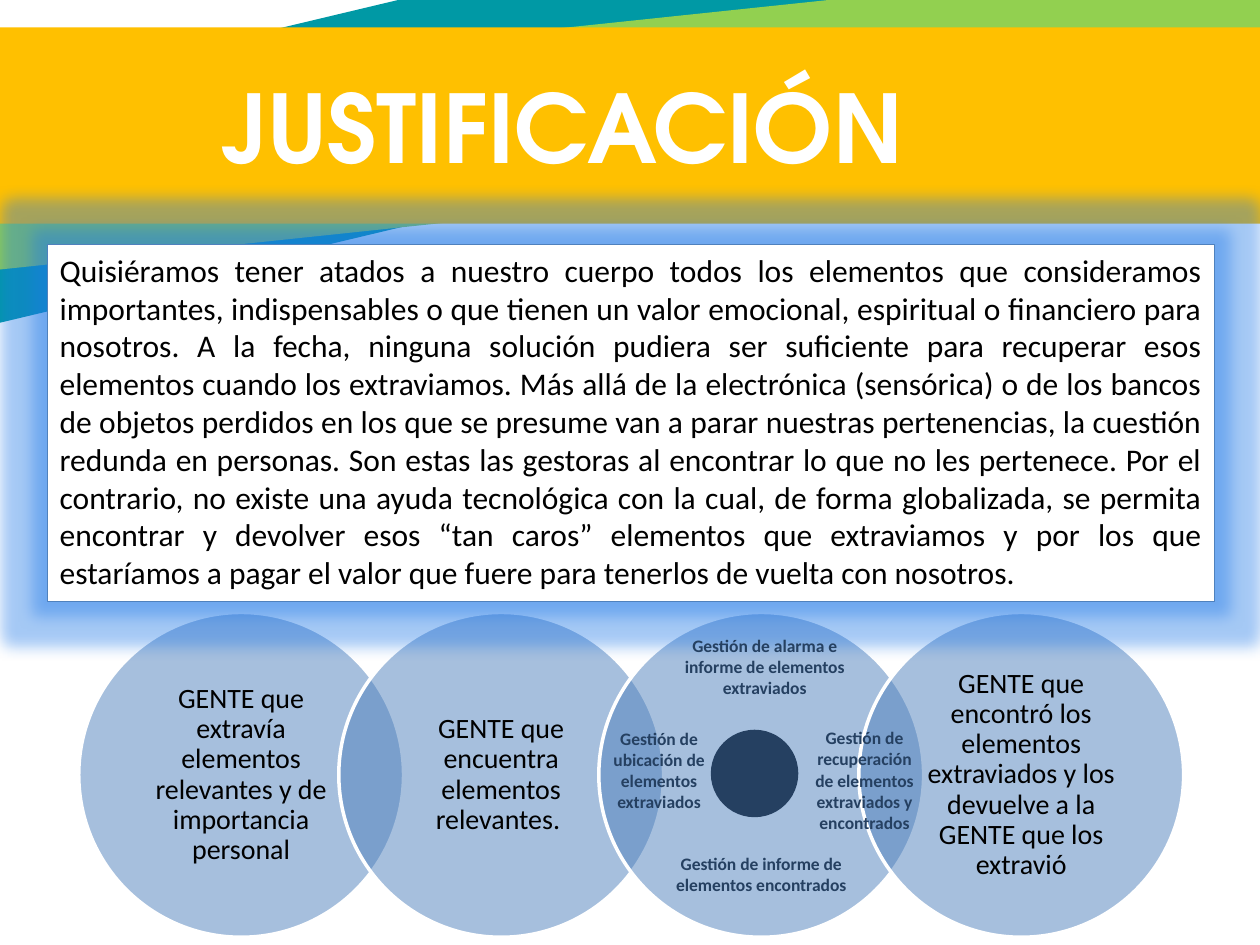
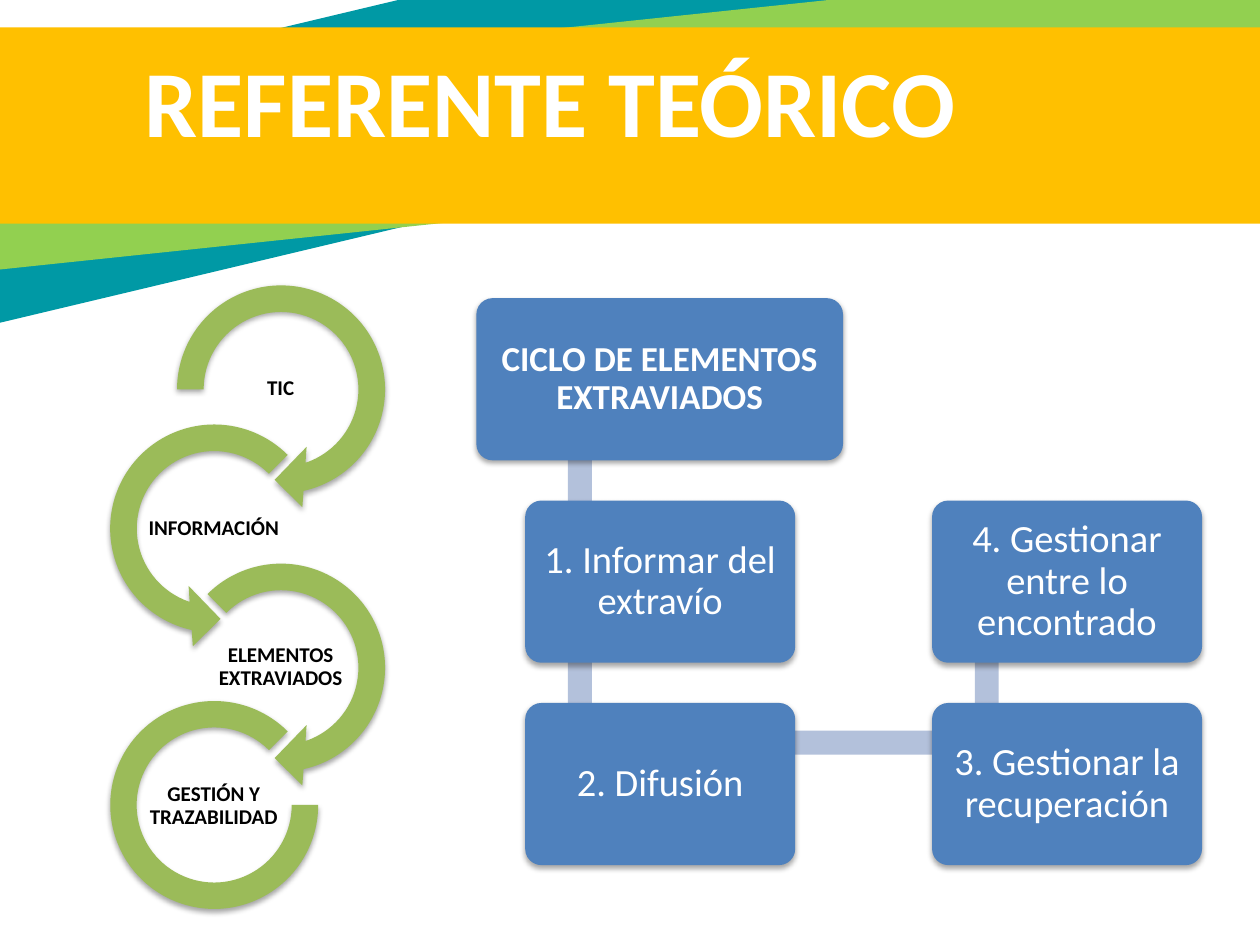
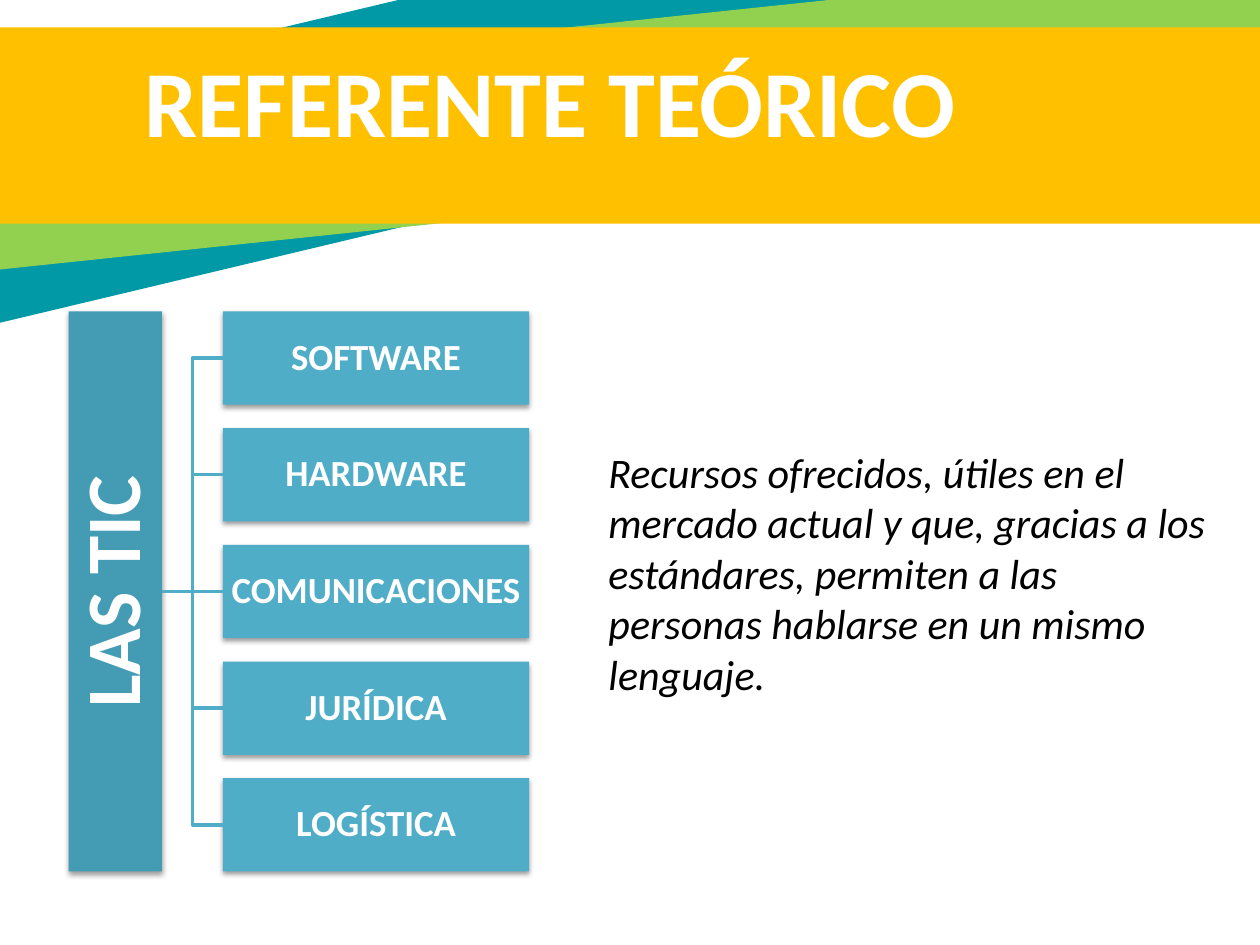
from collections import namedtuple
from dataclasses import dataclass

from lxml import etree
from pptx import Presentation
from pptx.dml.color import RGBColor
from pptx.enum.shapes import MSO_CONNECTOR, MSO_SHAPE
from pptx.enum.text import MSO_ANCHOR, PP_ALIGN
from pptx.oxml.ns import qn
from pptx.util import Pt

RECT = MSO_SHAPE.RECTANGLE
ROUND = MSO_SHAPE.ROUNDED_RECTANGLE
OVAL = MSO_SHAPE.OVAL
RIGHT_ARROW = MSO_SHAPE.CIRCULAR_ARROW
LEFT_ARROW = MSO_SHAPE.LEFT_CIRCULAR_ARROW
ARC = MSO_SHAPE.BLOCK_ARC
STRAIGHT = MSO_CONNECTOR.STRAIGHT
ELBOW = MSO_CONNECTOR.ELBOW
MIDDLE = MSO_ANCHOR.MIDDLE
TOP = MSO_ANCHOR.TOP
LEFT = PP_ALIGN.LEFT
CENTER = PP_ALIGN.CENTER
JUSTIFY = PP_ALIGN.JUSTIFY

Box = namedtuple("Box", "x y w h")


@dataclass(frozen=True)
class Theme:
    font: str = "Calibri"
    display: str = "TeX Gyre Adventor"
    white: str = "FFFFFF"
    black: str = "000000"
    teal: str = "0099A5"
    lime: str = "92D050"
    amber: str = "FFC000"
    blue: str = "4F81BD"
    navy: str = "254061"
    glow: str = "1F78E8"
    olive: str = "9BBB59"
    link: str = "B3C1DB"
    aqua: str = "50ADC7"
    deep_aqua: str = "449CB4"
    title: int = 54
    spine: int = 44
    quote: int = 24
    step: int = 22
    branch: int = 21
    head: int = 20
    body: int = 18
    circle: int = 16
    arc: int = 12
    caption: int = 10


T = Theme()


def rgb(value):
    return RGBColor.from_string(value)


def add_color(parent, value, alpha):
    clr = etree.SubElement(parent, qn("a:srgbClr"), val=value)
    etree.SubElement(clr, qn("a:alpha"), val=str(alpha * 1000))


def add_text(s, text, size=T.body, color=T.black, font=T.font, bold=False, italic=False,
             align=CENTER, anchor=MIDDLE, spacing=None, ins=(7.2, 3.6, 7.2, 3.6)):
    tf = s.text_frame
    tf.word_wrap = True
    tf.vertical_anchor = anchor
    tf.margin_left, tf.margin_top, tf.margin_right, tf.margin_bottom = map(Pt, ins)
    p = tf.paragraphs[0]
    p.alignment = align
    if spacing:
        p.line_spacing = spacing
    r = p.add_run()
    r.text = text
    r.font.size = Pt(size)
    r.font.name = font
    r.font.bold = bold
    r.font.italic = italic
    r.font.color.rgb = rgb(color)


def add_label(slide, box, text, **fmt):
    add_text(slide.shapes.add_textbox(*map(Pt, box)), text, **fmt)


def add_box(slide, kind, box, fill, line=None, width=1, alpha=None, shadow=None, adj=(), rotation=0):
    s = slide.shapes.add_shape(kind, *map(Pt, box))
    s.rotation = rotation
    for i, value in enumerate(adj):
        s.adjustments[i] = value
    s.fill.solid()
    s.fill.fore_color.rgb = rgb(fill)
    if alpha:
        clr = s._element.spPr.find(qn("a:solidFill"))[0]
        etree.SubElement(clr, qn("a:alpha"), val=str(alpha * 1000))
    if line:
        s.line.color.rgb = rgb(line)
        s.line.width = Pt(width)
    else:
        s.line.fill.background()
    s.shadow.inherit = False
    if shadow:
        effects = s._element.spPr.find(qn("a:effectLst"))
        sh = etree.SubElement(effects, qn("a:outerShdw"), blurRad=str(Pt(3.1)), dist=str(Pt(1.7)),
                              dir="5400000", rotWithShape="0")
        add_color(sh, T.black, shadow)
    return s


def add_glow(s, radius):
    effects = s._element.spPr.find(qn("a:effectLst"))
    add_color(etree.SubElement(effects, qn("a:glow"), rad=str(Pt(radius))), T.glow, 40)


def join(slide, start, end, kind):
    c = slide.shapes.add_connector(kind, 0, 0, 0, 0)
    c.begin_connect(start, 3)
    c.end_connect(end, 1)
    c.line.color.rgb = rgb(T.aqua)
    c.line.width = Pt(2)
    etree.SubElement(c._element.spPr, qn("a:effectLst"))


def add_header(slide, box, title, **fmt):
    add_box(slide, RECT, Box(-180.7, -13, 940.3, 126.7), T.teal, rotation=346.6)
    add_box(slide, RECT, Box(-79.2, 14.4, 837.4, 103.7), T.lime, rotation=354)
    add_box(slide, RECT, Box(-76.3, 15.7, 837.4, 112.1), T.amber)
    add_label(slide, box, title, size=T.title, color=T.white, bold=True, **fmt)


def add_theory_header(slide):
    add_header(slide, Box(-75, 18, 779, 107.3), "REFERENTE TEÓRICO", ins=(7.2, 3.6, 7.2, 32.4))


def add_people_circles(slide, box, texts):
    pitch = (box.w - box.h) / (len(texts) - 1)
    for i, text in enumerate(texts):
        s = add_box(slide, OVAL, Box(box.x + i * pitch, box.y, box.h, box.h), T.blue,
                    line=T.white, width=2, alpha=50)
        if text:
            add_text(s, text, size=T.circle, spacing=0.9, ins=(10, 1.6, 10, 1.6))
    return pitch


def add_management_hub(slide, x, y, captions):
    add_box(slide, OVAL, Box(x + 64, y + 67, 50, 50), T.navy)
    for text, (dx, dy, w, h) in captions:
        add_label(slide, Box(x + dx, y + dy, w, h), text, size=T.caption, color=T.navy, bold=True)


def add_arc_chain(slide, box, labels):
    size, pitch, shift = 138.2, 79.5, 38.2
    arrow = (0.11, 11.42)
    arcs = [
        (RIGHT_ARROW, (*arrow, 45, 108, 0.125), 0),
        (LEFT_ARROW, (*arrow, 63, 189, 0.125), 0),
        (RIGHT_ARROW, (*arrow, 45, 135, 0.125), 0),
        (ARC, (0, 189, 0.127), 9.7),
    ]
    for i, (label, (kind, adj, inset)) in enumerate(zip(labels, arcs)):
        x = box.x + (shift if i % 2 == 0 else 0)
        y = box.y + i * pitch
        side = size - 2 * inset
        add_box(slide, kind, Box(x + inset, y + inset - 1, side, side) if inset
                else Box(x, y, size, size), T.olive, shadow=35, adj=adj)
        add_label(slide, Box(x + 30.4, y + 49.7, 77, 38.4), label, size=T.arc, bold=True,
                  spacing=0.9, ins=(0.7,) * 4)


def add_cycle(slide, box, heading, steps):
    card_w, card_h, head_w = 154.3, 92.7, 209.5
    pitch = (box.h - card_h) / 2
    cols = (box.x + 27.9, box.x + box.w - card_w)
    rows = [box.y + i * pitch for i in range(3)]
    bar, axis = 13.7, 31.3
    half = bar / 2
    span = cols[1] - cols[0]

    def card(x, y, w, text, **fmt):
        s = add_box(slide, ROUND, Box(x, y, w, card_h), T.blue, shadow=35, adj=(0.1,))
        add_text(s, text, color=T.white, spacing=0.9, ins=(6.3,) * 4, **fmt)

    for col, row in ((0, 0), (0, 1), (1, 1)):
        add_box(slide, RECT, Box(cols[col] + axis - half, rows[row] + 23, bar, pitch - 1), T.link)
    add_box(slide, RECT, Box(cols[0] + axis, rows[2] + 15.8, span, bar), T.link)
    card(box.x, rows[0], head_w, heading, size=T.head, bold=True)
    for text, (col, row) in zip(steps, ((0, 1), (0, 2), (1, 2), (1, 1))):
        card(cols[col], rows[row], card_w, text, size=T.step)


def add_branches(slide, box, root, names):
    h = box.h / (len(names) * 1.25 - 0.25)
    spine = add_box(slide, RECT, Box(box.x, box.y, h, box.h), T.deep_aqua, shadow=38)
    add_text(spine, root, size=T.spine, color=T.white, bold=True, spacing=0.9, ins=(2,) * 4)
    spine.text_frame._txBody.bodyPr.set("vert", "vert270")
    w = 175
    for i, name in enumerate(names):
        s = add_box(slide, RECT, Box(box.x + box.w - w, box.y + i * h * 1.25, w, h), T.aqua, shadow=38)
        add_text(s, name, size=T.branch, color=T.white, bold=True, spacing=0.9, ins=(0.9,) * 4)
        join(slide, spine, s, STRAIGHT if i == len(names) // 2 else ELBOW)


def justification_slide(slide):
    add_header(slide, Box(-77, 18, 797, 107.3), "JUSTIFICACIÓN", font=T.display)
    circles = Box(45, 350, 631.4, 185.6)
    pitch = add_people_circles(slide, circles, [
        "GENTE que extravía elementos relevantes y de importancia personal",
        "GENTE que encuentra elementos relevantes. ",
        None,
        "GENTE que encontró los elementos extraviados y los devuelve a la GENTE que los extravió",
    ])
    s = add_box(slide, RECT, Box(27, 139.8, 667, 203.8), T.white, line=T.blue, width=0.25)
    add_glow(s, 18)
    add_text(s, (
        "Quisiéramos tener atados a nuestro cuerpo todos los elementos que consideramos "
        "importantes, indispensables o que tienen un valor emocional, espiritual o financiero "
        "para nosotros. A la fecha, ninguna solución pudiera ser suficiente para recuperar esos "
        "elementos cuando los extraviamos. Más allá de la electrónica (sensórica) o de los bancos "
        "de objetos perdidos en los que se presume van a parar nuestras pertenencias, la cuestión "
        "redunda en personas. Son estas las gestoras al encontrar lo que no les pertenece. Por el "
        "contrario, no existe una ayuda tecnológica con la cual, de forma globalizada, se permita "
        "encontrar y devolver esos “tan caros” elementos que extraviamos y por los que "
        "estaríamos a pagar el valor que fuere para tenerlos de vuelta con nosotros."
    ), align=JUSTIFY, anchor=TOP)
    add_management_hub(slide, circles.x + 2 * pitch, circles.y, [
        ("Gestión de alarma e informe de elementos extraviados", (30, 12, 129.6, 37.4)),
        ("Gestión de ubicación de elementos extraviados", (-1.6, 64.8, 72, 50.4)),
        ("Gestión de recuperación de elementos extraviados y encontrados", (115.8, 67.6, 72, 56.2)),
        ("Gestión de informe de elementos encontrados", (28, 130.5, 129.6, 37.4)),
    ])


def cycle_slide(slide):
    add_theory_header(slide)
    add_arc_chain(slide, Box(53.3, 153.4, 176.4, 376.7),
                  ["TIC", "INFORMACIÓN", "ELEMENTOS EXTRAVIADOS", "GESTIÓN Y TRAZABILIDAD"])
    add_cycle(slide, Box(272.2, 170.4, 414.7, 324), "CICLO DE ELEMENTOS EXTRAVIADOS", [
        "1. Informar del extravío",
        "2. Difusión",
        "3. Gestionar la recuperación",
        "4. Gestionar entre lo encontrado",
    ])


def resources_slide(slide):
    add_theory_header(slide)
    add_branches(slide, Box(39.2, 178, 263.2, 320), "LAS TIC",
                 ["SOFTWARE", "HARDWARE", "COMUNICACIONES", "JURÍDICA", "LOGÍSTICA"])
    add_label(slide, Box(340.6, 156.5, 360, 341.3), (
        "Recursos ofrecidos, útiles en el mercado actual y que, gracias a los estándares, "
        "permiten a las personas hablarse en un mismo lenguaje."
    ), size=T.quote, italic=True, align=LEFT)


def main():
    prs = Presentation()
    prs.slide_width, prs.slide_height = Pt(720), Pt(540)
    for build in (justification_slide, cycle_slide, resources_slide):
        build(prs.slides.add_slide(prs.slide_layouts[6]))
    prs.save("out.pptx")


if __name__ == "__main__":
    main()
